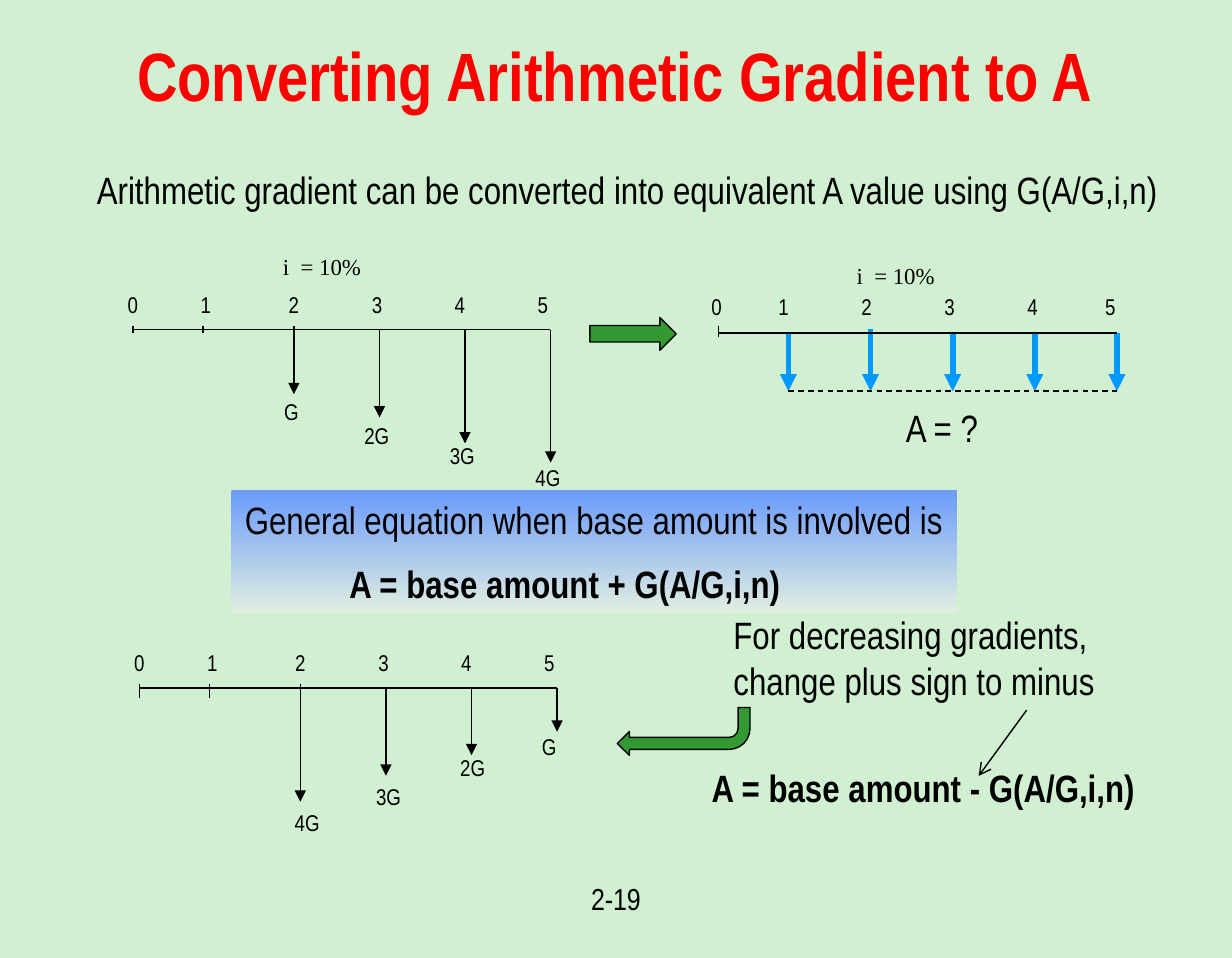
from lxml.etree import SubElement
from pptx import Presentation
from pptx.dml.color import RGBColor
from pptx.enum.dml import MSO_LINE
from pptx.enum.shapes import MSO_CONNECTOR, MSO_SHAPE
from pptx.enum.text import MSO_ANCHOR, PP_ALIGN
from pptx.oxml.ns import qn
from pptx.util import Pt

COLORS = {
    "background": "D1F0D1",
    "title": "FF0000",
    "ink": "000000",
    "annuity": "0099FF",
    "arrow": "339933",
    "band_top": "6B9BFB",
    "band_bottom": "E1EFE1",
}
NARROW = "Arial Narrow"
SERIF = "Times New Roman"


def color(name):
    """Return the named palette colour."""
    return RGBColor.from_string(COLORS[name])


def write(shape, lines, size, font=NARROW, ink="ink", bold=False, align=PP_ALIGN.LEFT, wrap=False):
    """Fill a shape with lines of text in one style and return its frame."""
    frame = shape.text_frame
    frame.text = "\n".join(lines)
    frame.word_wrap = wrap
    frame.vertical_anchor = MSO_ANCHOR.TOP
    for para in frame.paragraphs:
        para.alignment = align
        for span in para.runs:
            span.font.name = font
            span.font.size = Pt(size)
            span.font.bold = bold
            span.font.color.rgb = color(ink)
    return frame


def add_text(page, box, lines, size, **style):
    """Add a text box at (left, top, width, height)."""
    shape = page.shapes.add_textbox(*map(Pt, box))
    return write(shape, lines, size, **style)


def add_line(page, start, end, ink="ink", width=0.75, head=None, dashed=False):
    """Draw a straight line with an optional arrowhead at its end."""
    line = page.shapes.add_connector(MSO_CONNECTOR.STRAIGHT, *map(Pt, start + end))
    line.line.color.rgb = color(ink)
    line.line.width = Pt(width)
    if dashed:
        line.line.dash_style = MSO_LINE.DASH
    properties = line._element.spPr
    if head:
        SubElement(properties.find(qn("a:ln")), qn("a:tailEnd"), type=head)
    SubElement(properties, qn("a:effectLst"))


def add_block_arrow(page, kind, box, rotation=0):
    """Add a green block arrow."""
    arrow = page.shapes.add_shape(kind, *map(Pt, box))
    arrow.shadow.inherit = False
    arrow.rotation = rotation
    arrow.fill.solid()
    arrow.fill.fore_color.rgb = color("arrow")
    arrow.line.color.rgb = color("ink")
    arrow.line.width = Pt(0.75)


def add_time_axis(page, left, top, length, years, ticks, tick_span, years_rise=24):
    """Draw an axis with centred year numbers above it and short ticks across it."""
    add_line(page, (left, top), (left + length, top))
    for tick in ticks:
        add_line(page, (left + tick, top + tick_span[0]), (left + tick, top + tick_span[1]))
    margin = 20
    box = (left - margin - 7.2, top - years_rise, length + 2 * margin + 14.4, 22)
    frame = add_text(page, box, ["".join(f"\t{year}" for year in range(len(years)))], 12)
    tabs = SubElement(frame.paragraphs[0]._p.get_or_add_pPr(), qn("a:tabLst"))
    for offset in years:
        SubElement(tabs, qn("a:tab"), pos=str(int(Pt(offset + margin))), algn="ctr")


def add_rate(page, left, top):
    """Add the interest rate caption."""
    add_text(page, (left, top, 55.4, 21.6), ["i  = 10%"], 12, font=SERIF)


def add_gradient_flow(page, left, top, flows, tick_span):
    """Draw a cash flow whose amounts change by G; flows hold amount, length, label shift and label drop."""
    add_time_axis(page, left, top, 219.5, (0, 38.4, 84.6, 128.4, 172, 215.6), (0, 36.7), tick_span)
    for index, (amount, length, shift, drop) in enumerate(flows):
        x = left + 84.6 + 45 * index
        rise = 2 if index == 0 else 0
        add_line(page, (x, top - rise), (x, top + length), head="triangle")
        width = 21.6 if amount == "G" else 27.4
        add_text(page, (x + shift - width / 2, top + drop, width, 21.6), [amount], 12)


def add_uniform_flow(page, left, top):
    """Draw the equivalent uniform series A."""
    first, step, depth = 36.7, 43.2, 30.5
    for index in range(5):
        x = left + first + step * index
        rise = 2 if index == 1 else 0
        add_line(page, (x, top - rise), (x, top + depth), ink="annuity", width=3, head="triangle")
    years = (-1, 34.3, 78, 121.6, 165.2, 206.2)
    add_time_axis(page, left, top, 209.5, years, (0,), (-4, 2), 25)
    add_line(page, (left + first, top + depth), (left + first + 4 * step, top + depth), dashed=True)
    add_rate(page, left + 65.5, top - 41.4)
    add_text(page, (left + 91.4, top + 34.2, 53.3, 31.7), ["A = ?"], 20)


def add_equation_band(page, box):
    """Add the shaded band with the general equation."""
    band = page.shapes.add_shape(MSO_SHAPE.RECTANGLE, *map(Pt, box))
    band.shadow.inherit = False
    band.line.fill.background()
    band.fill.gradient()
    band.fill.gradient_angle = 270
    for stop, name in zip(band.fill.gradient_stops, ("band_top", "band_bottom")):
        stop.color.rgb = color(name)
    lines = ["General equation when base amount is involved is", "A = base amount + G(A/G,i,n)"]
    frame = write(band, lines, 20, wrap=True)
    frame.margin_right = 0
    equation = frame.paragraphs[1]
    equation.space_before = Pt(9.5)
    equation.runs[0].font.bold = True
    equation._p.get_or_add_pPr().set("marL", str(int(Pt(55))))


def add_decreasing_note(page, left, top):
    """Add the remark on decreasing gradients with its two arrows."""
    lines = ["For decreasing gradients,", "change plus sign to minus"]
    add_text(page, (left, top, 225, 55.4), lines, 20)
    add_text(page, (left - 11.5, top + 80.6, 237.6, 31.7), ["A = base amount - G(A/G,i,n)"], 20, bold=True)
    add_line(page, (left + 161.3, top + 55.4), (left + 136.1, top + 90), head="arrow")
    add_block_arrow(page, MSO_SHAPE.BENT_ARROW, (left - 54, top + 54, 69.8, 25.2), 180)


def build_slide(deck):
    """Lay out the whole slide."""
    page = deck.slides.add_slide(deck.slide_layouts[6])
    page.background.fill.solid()
    page.background.fill.fore_color.rgb = color("background")
    title = add_text(page, (48.2, 12.2, 550.8, 54), ["Converting Arithmetic Gradient to A"], 36,
                     ink="title", bold=True, align=PP_ALIGN.CENTER, wrap=True)
    title.vertical_anchor = MSO_ANCHOR.MIDDLE
    intro = "Arithmetic gradient can be converted into equivalent A value using G(A/G,i,n)"
    add_text(page, (43.9, 84.2, 578.9, 31.7), [intro], 20)
    rising = [("G", 33.9, -1.4, 32.4), ("2G", 46.1, -1.4, 44.7),
              ("3G", 59.8, -1.4, 55.5), ("4G", 69.9, -1.4, 67)]
    add_gradient_flow(page, 70, 173.5, rising, (-2, 1.5))
    add_rate(page, 141.8, 129.6)
    add_block_arrow(page, MSO_SHAPE.RIGHT_ARROW, (310.3, 167, 45.4, 17.3))
    add_uniform_flow(page, 378, 175.3)
    add_equation_band(page, (121.7, 257.8, 381.6, 64.8))
    falling = [("4G", 59.8, 3.6, 59.8), ("3G", 46.1, 1.4, 46.1),
               ("2G", 35.3, 0.7, 31), ("G", 23, -4.3, 20.2)]
    add_gradient_flow(page, 73.4, 362, falling, (-2, 5))
    add_decreasing_note(page, 378.7, 318.2)
    add_text(page, (280.8, 459.4, 86.4, 33.8), ["2-19"], 16, align=PP_ALIGN.CENTER, wrap=True)


def main():
    """Build and save the deck."""
    deck = Presentation()
    deck.slide_width = Pt(648)
    deck.slide_height = Pt(504)
    build_slide(deck)
    deck.save("out.pptx")


if __name__ == "__main__":
    main()
